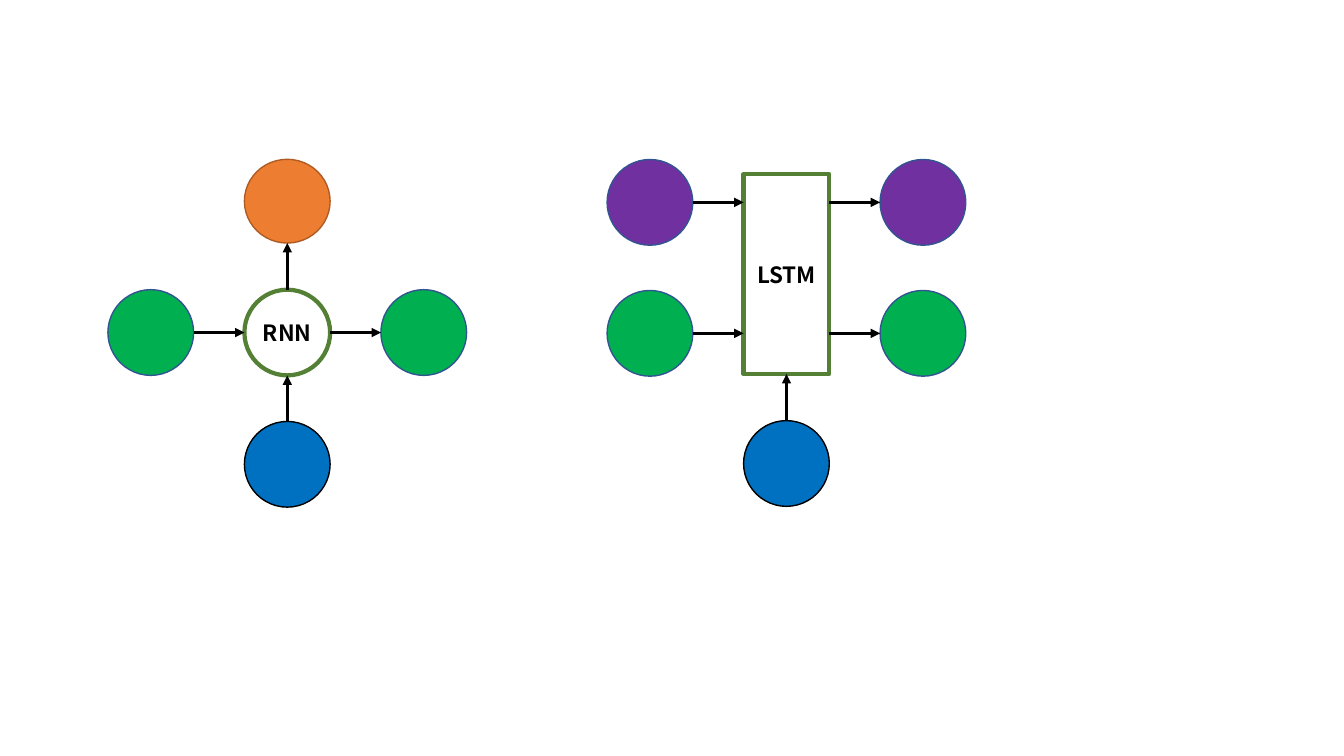
from lxml.etree import SubElement as Sub
from pptx import Presentation
from pptx.dml.color import RGBColor as Rgb
from pptx.enum.shapes import MSO_CONNECTOR as Conn, MSO_SHAPE as Form
from pptx.enum.text import MSO_ANCHOR as Anchor, PP_ALIGN as Align
from pptx.oxml.ns import qn
from pptx.util import Cm, Pt

CELLS = [
    {"text": "RNN", "form": Form.OVAL, "x": 7.24, "y": 8.38, "high": 2.16,
     "nodes": [("state", -1, 8.38, "in"), ("state", 1, 8.38, "out"),
               ("output", 0, 5.07, "out"), ("input", 0, 11.7, "in")]},
    {"text": "LSTM", "form": Form.RECTANGLE, "x": 19.82, "y": 6.91, "high": 5.03,
     "nodes": [("memory", -1, 5.1, "in"), ("memory", 1, 5.1, "out"),
               ("state", -1, 8.4, "in"), ("state", 1, 8.4, "out"),
               ("input", 0, 11.68, "in")]},
]
WIDE, STEP = 2.16, 3.44
THEME = {
    "state": ("00B050", "325491", 2.16),
    "memory": ("7030A0", "325491", 2.16),
    "output": ("ED7D31", "AF5C24", 2.11),
    "input": ("0070C0", "000000", 2.16),
    "cell": "538035", "ink": "000000",
    "thin": 1, "arrow": 2.25, "thick": 3,
    "font": {"name": "Noto Sans CJK SC", "size": Pt(16), "bold": True},
}


def put(item, values):
    """Set every attribute named in values on item."""
    for key, value in values.items():
        setattr(item, key, value)


def stroke(line, color, width):
    """Give a line its colour and width."""
    line.color.rgb = Rgb.from_string(color)
    line.width = Pt(width)


def shape(slide, form, x, y, high, fill, edge, width):
    """Add a shape centred on a point."""
    item = slide.shapes.add_shape(
        form, Cm(x - WIDE / 2), Cm(y - high / 2), Cm(WIDE), Cm(high))
    item.shadow.inherit = False
    if fill:
        item.fill.solid()
        item.fill.fore_color.rgb = Rgb.from_string(fill)
    else:
        item.fill.background()
    stroke(item.line, edge, width)
    return item


def label(item, text):
    """Write centred text in a shape."""
    frame = item.text_frame
    put(frame, {"margin_left": 0, "margin_right": 0, "margin_top": 0,
                "margin_bottom": 0, "vertical_anchor": Anchor.MIDDLE,
                "word_wrap": True})
    para = frame.paragraphs[0]
    para.alignment = Align.CENTER
    run = para.add_run()
    run.text = text
    put(run.font, THEME["font"])
    run.font.color.rgb = Rgb.from_string(THEME["ink"])


def arrow(slide, start, end):
    """Add an arrow between two points."""
    item = slide.shapes.add_connector(
        Conn.STRAIGHT, *[Cm(v) for v in (*start, *end)])
    stroke(item.line, THEME["ink"], THEME["arrow"])
    Sub(item.line._get_or_add_ln(), qn("a:tailEnd"), type="triangle")
    Sub(item._element.spPr, qn("a:effectLst"))


def draw(slide, cell):
    """Draw a cell with its nodes and arrows."""
    x, y, high = cell["x"], cell["y"], cell["high"]
    box = shape(slide, cell["form"], x, y, high, None,
                THEME["cell"], THEME["thick"])
    label(box, cell["text"])
    for kind, side, row, flow in cell["nodes"]:
        fill, edge, tall = THEME[kind]
        col = x + side * STEP
        shape(slide, Form.OVAL, col, row, tall, fill, edge, THEME["thin"])
        if side:
            near = (x + side * WIDE / 2, row)
            far = (col - side * WIDE / 2, row)
        else:
            sign = 1 if row > y else -1
            near = (x, y + sign * high / 2)
            far = (x, row - sign * tall / 2)
        ends = (far, near) if flow == "in" else (near, far)
        arrow(slide, *ends)


def main():
    """Build the slide and save it."""
    deck = Presentation()
    put(deck, {"slide_width": Cm(33.87), "slide_height": Cm(19.05)})
    slide = deck.slides.add_slide(deck.slide_layouts[6])
    for cell in CELLS:
        draw(slide, cell)
    deck.save("out.pptx")


if __name__ == "__main__":
    main()
